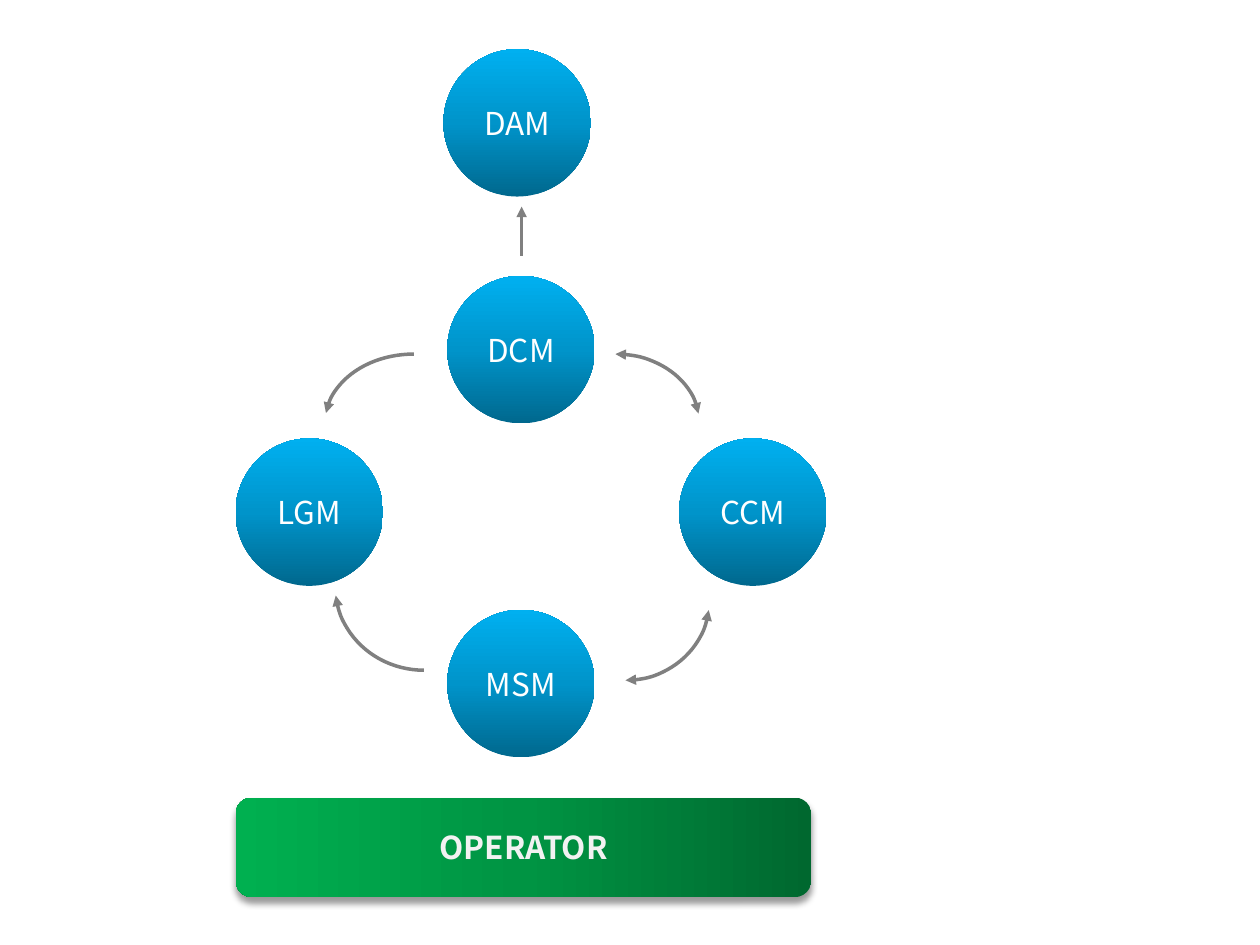
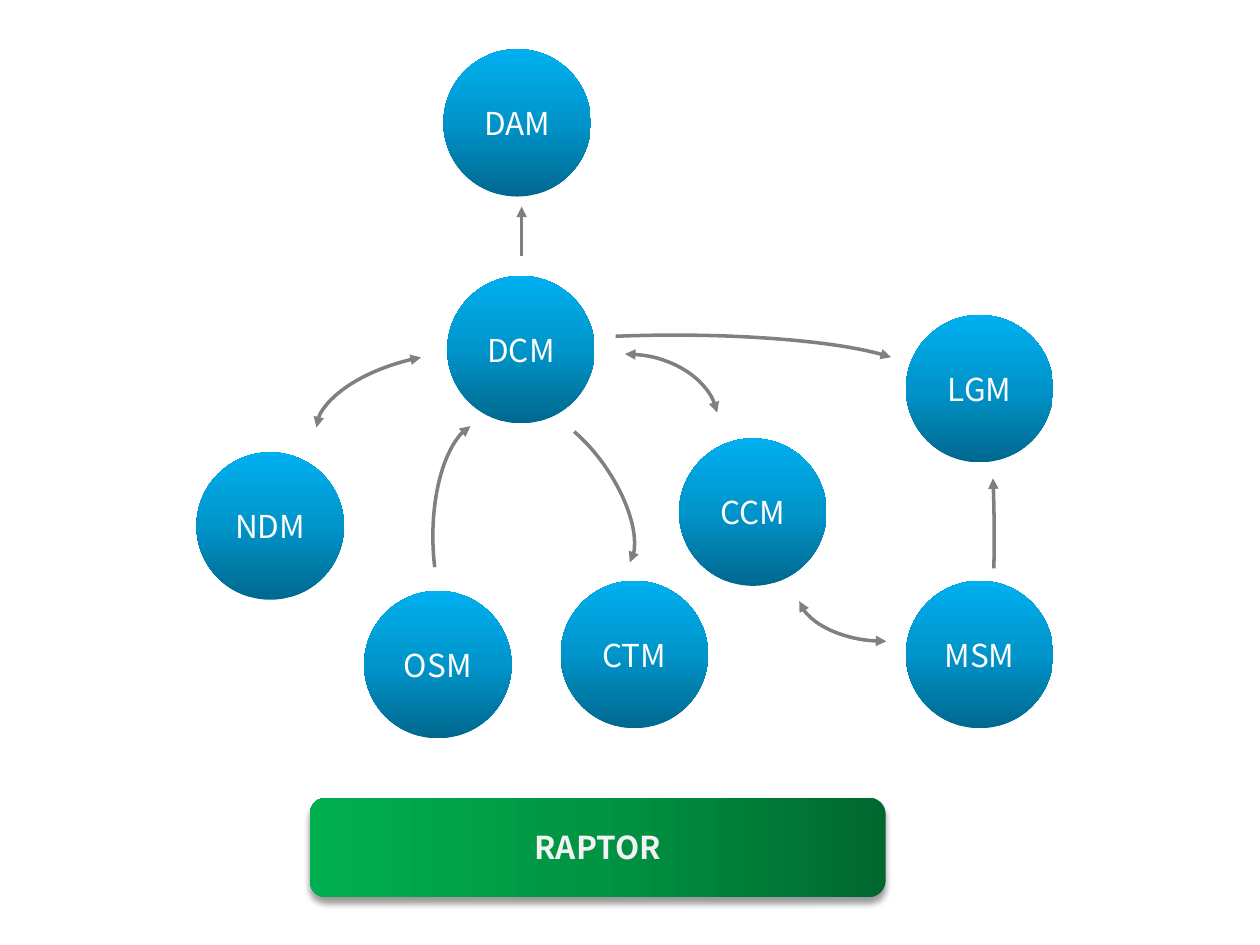
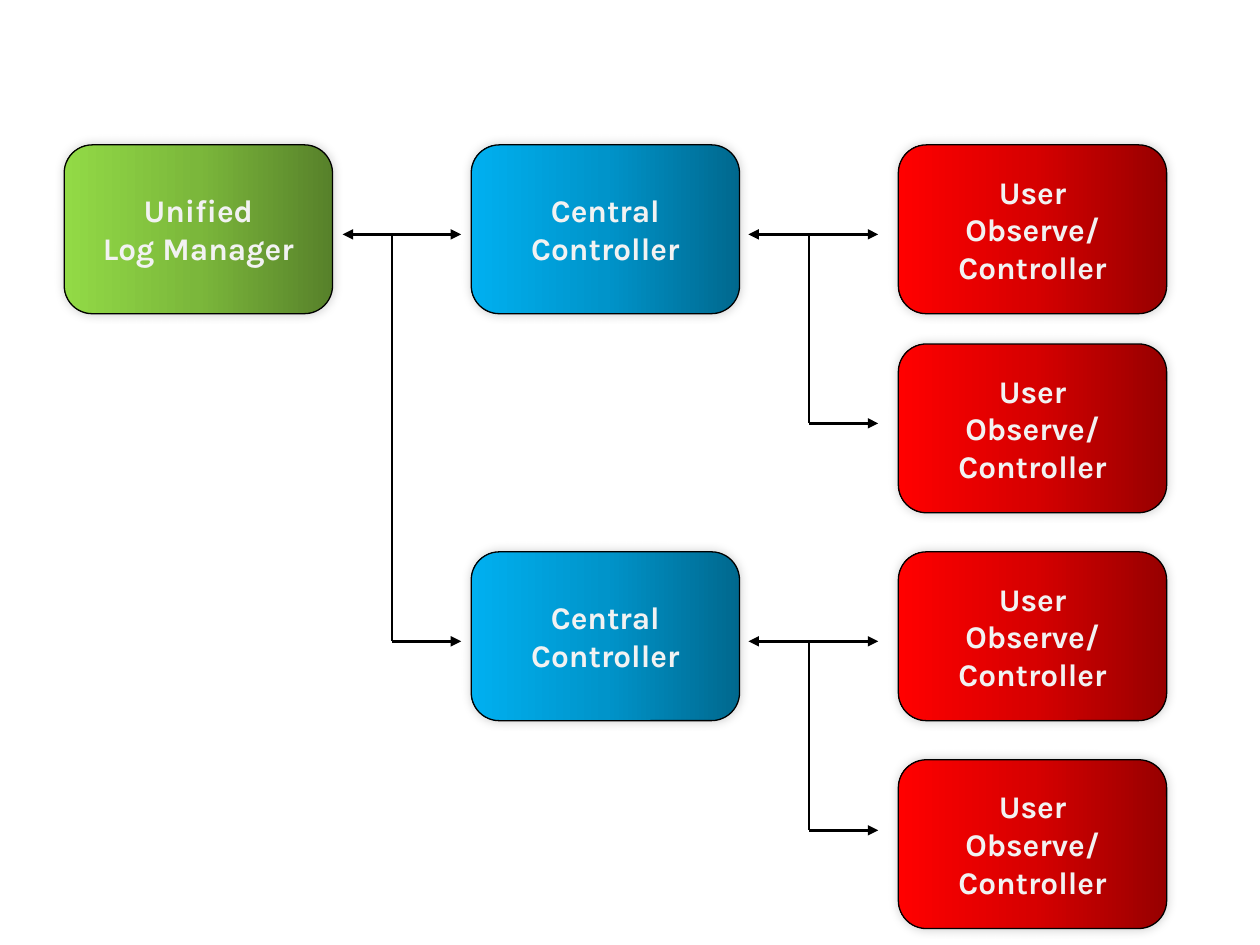
"""Build two module diagrams and one controller hierarchy."""
import copy

import pptx
import pptx.dml.color
import pptx.enum.shapes
import pptx.enum.text
import pptx.oxml
import pptx.oxml.ns
import pptx.util

Inches = pptx.util.Inches
Pt = pptx.util.Pt
RGBColor = pptx.dml.color.RGBColor
Shapes = pptx.enum.shapes.MSO_SHAPE
qn = pptx.oxml.ns.qn

WHITE = RGBColor(0xFF, 0xFF, 0xFF)
PALE = RGBColor(0xF2, 0xF2, 0xF2)
GRAY = RGBColor(0x80, 0x80, 0x80)
BLACK = RGBColor(0, 0, 0)
BLUE = (RGBColor(0x00, 0x68, 0x8E), RGBColor(0x00, 0x94, 0xCA), RGBColor(0x00, 0xB0, 0xF0))
GREEN = (RGBColor(0x00, 0x68, 0x2F), RGBColor(0x00, 0x94, 0x43), RGBColor(0x00, 0xB0, 0x50))
LIME = (RGBColor(0x57, 0x81, 0x2A), RGBColor(0x7B, 0xB7, 0x3B), RGBColor(0x92, 0xDA, 0x46))
RED = (RGBColor(0x97, 0, 0), RGBColor(0xD7, 0, 0), RGBColor(0xFF, 0, 0))

MODULE_FONT = "Noto Sans CJK KR"
CONTROLLER_FONT = "Karla"
CIRCLE_SIZE = 1.17
BANNER_TOP, BANNER_WIDTH, BANNER_HEIGHT = 6.33, 4.57, 0.79
BOX_WIDTH, BOX_HEIGHT = 2.13, 1.34
BANNER_SHADOW = dict(alpha=40, blur=4, distance=3, direction=90)
BOX_SHADOW = dict(alpha=20, blur=6, distance=0, direction=315)
QUARTER = (162, 212.21)
WIDE = (127.87, 213.22)

SHARED_MODULES = [("DAM", 3.52, 0.39), ("DCM", 3.55, 2.19), ("CCM", 5.39, 3.48)]
MODULE_SLIDES = [
    {
        "banner": ("OPERATOR", 1.87),
        "modules": [("MSM", 3.55, 4.84), ("LGM", 1.87, 3.48)],
        "arcs": [
            dict(at=(4.22, 2.81, 1.33, 1.09), ends="both"),
            dict(at=(4.3, 4.14, 1.33, 1.26), ends="both", flip="V"),
            dict(at=(2.58, 2.81, 1.41, 1.09), flip="H"),
            dict(at=(2.66, 3.98, 1.41, 1.34), flip="HV"),
        ],
    },
    {
        "banner": ("RAPTOR", 2.46),
        "modules": [("MSM", 7.19, 4.61), ("LGM", 7.19, 2.5), ("CTM", 4.45, 4.61),
                    ("NDM", 1.56, 3.59), ("OSM", 2.89, 4.69)],
        "arcs": [
            dict(at=(4.22, 2.81, 1.48, 1.09), ends="both"),
            dict(at=(2.49, 2.85, 1.67, 0.78), sweep=(152.01, 213.73), ends="both",
                 flip="H", rotation=345.6),
            dict(at=(6.33, 4.3, 1.41, 0.79), ends="both", flip="HV"),
            dict(at=(3.44, 2.66, 3.83, 0.63), sweep=WIDE),
            dict(at=(5.66, 3.95, 3.83, 0.63), sweep=(127.87, 185.01), ends="head", rotation=90),
            dict(at=(2.93, 3.86, 1.8, 0.79), sweep=(142.19, 212.21), flip="HV", rotation=90),
            dict(at=(3.84, 3.59, 1.44, 0.63), sweep=WIDE, rotation=56.5),
        ],
    },
]

COLUMNS = (0.51, 3.74, 7.13)
ROWS = (1.15, 2.73, 4.38, 6.03)
LOG_MANAGER = "Unified\nLog Manager"
CENTRAL = "Central\nController"
OBSERVER = "User\nObserve/\nController"
BOXES = [(LOG_MANAGER, 0, 0, LIME), (CENTRAL, 1, 0, BLUE), (CENTRAL, 1, 2, BLUE)]
BOXES += [(OBSERVER, 2, row, RED) for row in range(len(ROWS))]
BRANCHES = [
    dict(left=2.72, trunk=3.11, right=3.66, top=1.86, drop=3.23),
    dict(left=5.94, trunk=6.42, right=6.97, top=1.86, drop=1.5),
    dict(left=5.94, trunk=6.42, right=6.97, top=5.09, drop=1.5),
]


def fill_gradient(shape, colors, angle):
    shape.fill.gradient()
    stop_list = shape._element.spPr.find(qn("a:gradFill")).find(qn("a:gsLst"))
    stop_list.insert(1, copy.deepcopy(stop_list[0]))
    for stop, color, position in zip(shape.fill.gradient_stops, colors, (0, 0.5, 1)):
        stop.color.rgb = color
        stop.position = position
    shape.fill.gradient_angle = angle


def add_shadow(shape, alpha, blur, distance, direction):
    effects = shape._element.spPr.find(qn("a:effectLst"))
    shadow = pptx.oxml.ns.nsdecls("a")
    effects.append(pptx.oxml.parse_xml(
        f'<a:outerShdw {shadow} blurRad="{Pt(blur)}" dist="{Pt(distance)}" '
        f'dir="{direction * 60000}" algn="ctr" rotWithShape="0">'
        f'<a:srgbClr val="{BLACK}"><a:alpha val="{alpha * 1000}"/></a:srgbClr></a:outerShdw>'))


def style_line(shape, color, width, ends):
    shape.line.color.rgb = color
    shape.line.width = Pt(width)
    line = shape._element.spPr.find(qn("a:ln"))
    for end in ("head", "tail"):
        if ends in (end, "both"):
            pptx.oxml.ns.qn
            line.append(pptx.oxml.parse_xml(
                f'<a:{end}End {pptx.oxml.ns.nsdecls("a")} type="triangle"/>'))


def add_shape(slide, kind, at):
    shape = slide.shapes.add_shape(kind, *map(Inches, at))
    shape.shadow.inherit = False
    return shape


def add_label(slide, kind, at, text, colors, angle, font, color, bold):
    shape = add_shape(slide, kind, at)
    fill_gradient(shape, colors, angle)
    shape.line.fill.background()
    frame = shape.text_frame
    frame.text = text
    frame.word_wrap = not bold
    frame.vertical_anchor = pptx.enum.text.MSO_ANCHOR.MIDDLE
    for paragraph in frame.paragraphs:
        paragraph.alignment = pptx.enum.text.PP_ALIGN.CENTER
        paragraph.font.name = font
        paragraph.font.size = Pt(18)
        paragraph.font.bold = bold
        paragraph.font.color.rgb = color
    return shape


def add_arc(slide, at, sweep=QUARTER, ends="tail", flip="", rotation=0):
    arc = add_shape(slide, Shapes.ARC, at)
    arc.adjustments[0], arc.adjustments[1] = sweep
    arc.fill.background()
    arc.rotation = rotation
    for axis in flip:
        arc._element.spPr.xfrm.set(f"flip{axis}", "1")
    style_line(arc, GRAY, 2, ends)


def add_line(slide, start, end, color, width, ends=""):
    connector = slide.shapes.add_connector(
        pptx.enum.shapes.MSO_CONNECTOR.STRAIGHT, *map(Inches, start + end))
    style_line(connector, color, width, ends)
    connector._element.spPr.append(
        pptx.oxml.parse_xml(f'<a:effectLst {pptx.oxml.ns.nsdecls("a")}/>'))


def add_module_slide(slide, content):
    for name, left, top in SHARED_MODULES + content["modules"]:
        add_label(slide, Shapes.OVAL, (left, top, CIRCLE_SIZE, CIRCLE_SIZE), name,
                  BLUE, 90, MODULE_FONT, WHITE, False)
    add_line(slide, (4.14, 2.03), (4.14, 1.64), GRAY, 2, "tail")
    for arc in content["arcs"]:
        add_arc(slide, **arc)
    name, left = content["banner"]
    banner = add_label(slide, Shapes.ROUNDED_RECTANGLE,
                       (left, BANNER_TOP, BANNER_WIDTH, BANNER_HEIGHT), name,
                       GREEN, 180, MODULE_FONT, PALE, True)
    add_shadow(banner, **BANNER_SHADOW)


def add_branch(slide, left, trunk, right, top, drop):
    bottom = top + drop
    for start, end, ends in [((left, top), (right, top), "both"),
                             ((trunk, top), (trunk, bottom), ""),
                             ((trunk, bottom), (right, bottom), "tail")]:
        add_line(slide, start, end, BLACK, 1.5, ends)


def add_controller_slide(slide):
    for text, column, row, colors in BOXES:
        box = add_label(slide, Shapes.ROUNDED_RECTANGLE,
                        (COLUMNS[column], ROWS[row], BOX_WIDTH, BOX_HEIGHT), text,
                        colors, 180, CONTROLLER_FONT, PALE, True)
        style_line(box, BLACK, 0.75, "")
        add_shadow(box, **BOX_SHADOW)
    for branch in BRANCHES:
        add_branch(slide, **branch)


presentation = pptx.Presentation()
presentation.slide_width = Inches(10)
presentation.slide_height = Inches(7.5)
blank = presentation.slide_layouts[6]
for module_content in MODULE_SLIDES:
    add_module_slide(presentation.slides.add_slide(blank), module_content)
add_controller_slide(presentation.slides.add_slide(blank))
presentation.save("out.pptx")
